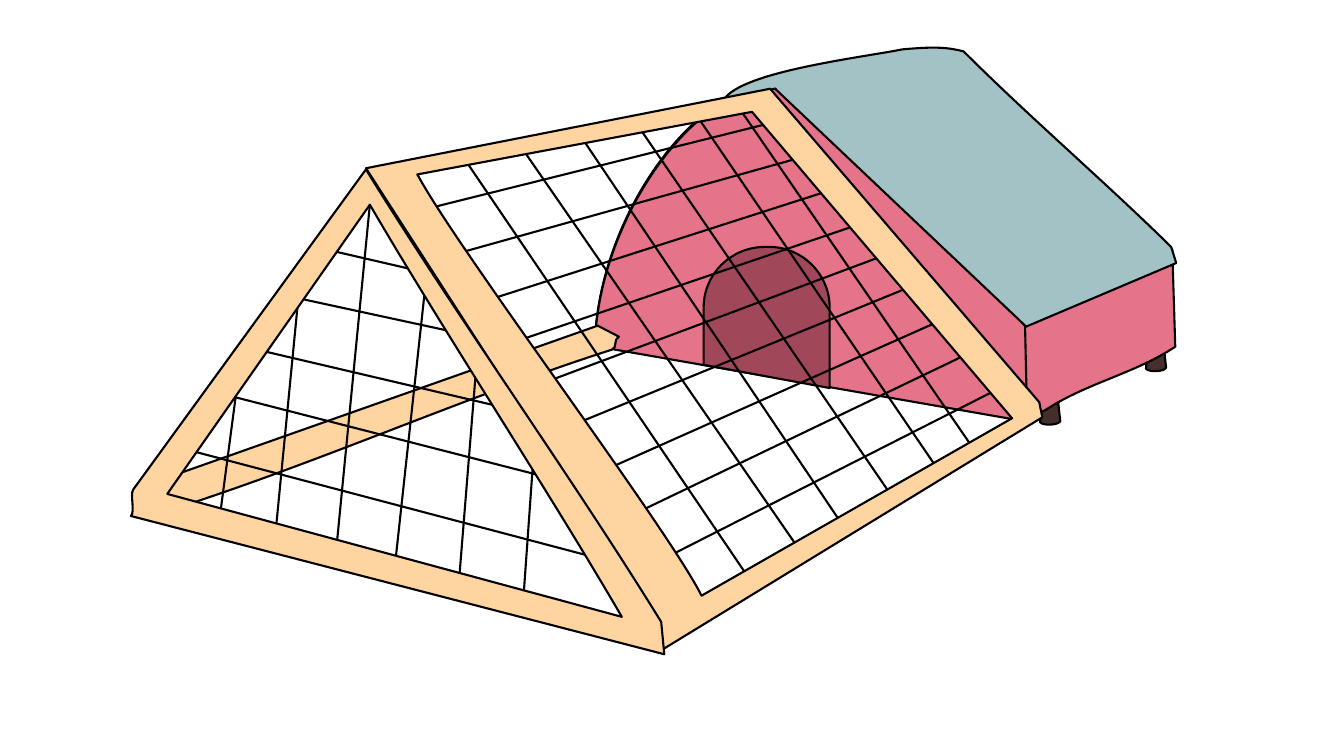
from lxml import etree
from pptx import Presentation
from pptx.dml.color import RGBColor
from pptx.enum.shapes import MSO_CONNECTOR
from pptx.oxml.ns import qn
from pptx.util import Pt

BLACK = RGBColor(0x00, 0x00, 0x00)
LEG_BROWN = RGBColor(0x46, 0x2D, 0x2E)
WALL_PINK = RGBColor(0xE5, 0x73, 0x8A)
DOOR_RED = RGBColor(0xA0, 0x47, 0x59)
ROOF_BLUE = RGBColor(0xA3, 0xC2, 0xC5)
WOOD = RGBColor(0xFE, 0xD5, 0xA1)
LINE_WIDTH = Pt(1.5)

# Contours: a pair is a straight step, six numbers are a Bézier step
# (two control points and an end point). All are points from the box corner.
LEG = [(1, 1.4), (13, 0), (14.4, 13), (12, 16, 2, 16, 0, 13.7)]
END_WALL = [(0.8, 212.2), (3.7, 117.9, 75.7, 23.6, 129.7, 27.9),
            (161.4, 53.1, 257.1, 130.9, 308.2, 197.8), (309.7, 266.2)]
SIDE_WALL = [(305.4, 178.4), (413.4, 144.6), (415.5, 213.7),
             (386, 233.1, 352.2, 239.6, 322.6, 259), (308.2, 266.2)]
DOOR = [(122.5, 142.4), (125.4, 142.4), (149.1, 142.4, 168.6, 161.8, 168.6, 185.6),
        (168.6, 240.3), (168.6, 243.2), (78.6, 226.6),
        (78.6, 208.6, 78.6, 204.3, 78.6, 185.6),
        (78.6, 161.8, 98, 142.4, 122.5, 142.4)]
ROOF = [(129.7, 29.4), (135.4, 27.9, 87.2, 38.7, 93, 37.3),
        (105.2, 17.1, 192.3, 7, 220.4, 1.3), (244.2, -0.9, 252.8, -0.2, 264.3, 2.7),
        (311.1, 49.5, 365.8, 96.3, 412.6, 142.4), (416.2, 153.9), (309, 199.3)]

FLOOR_BEAM = [(16.9, 281.2), (333, 169.6), (348.1, 177.5),
              (343.8, 179.6, 347.4, 185.4, 343, 186.8),
              (239.4, 220, 133.5, 267.5, 29.8, 300.6), (22.6, 291.2)]
SIDE_FRAME = [(456.1, 0.4), (648.3, 224.3), (650.5, 235.1), (376.2, 402.8),
              (371.8, 396.4, 381.9, 387.7, 376.9, 382), (167.4, 57.2)]
SIDE_OPENING = [(443.1, 16.9), (204.1, 61.6),
                (233.6, 116.3, 382.6, 313.6, 407.1, 362.5), (628.9, 235.8)]
FRONT_FRAME = [(167.4, 58), (233.6, 165.2, 312.1, 274, 378.3, 381.2),
               (380.5, 404.3), (-0.4, 305.6), (2.5, 302, -1.1, 291.2, 1, 286.9)]
FRONT_OPENING = [(170.2, 83.2), (25.5, 289.8), (350.2, 377.6),
                 (297, 286.2, 223.5, 174.6, 170.2, 83.2)]

# Wires: start x, start y, end x, end y
SIDE_MESH = [
    (251.6, 152.3, 500.7, 72.4), (271.8, 181.8, 523, 96.1),
    (299.8, 208.4, 540.3, 118.4), (321.4, 238, 555.4, 142.2),
    (340.2, 271.8, 577.8, 166), (380.5, 335.9, 615.9, 216.4),
    (357.4, 304.9, 594.3, 191.2), (217, 84.6, 459.7, 24.1),
    (236.5, 117, 481.3, 48.6),
    (236.5, 48.6, 443.1, 353.2), (275.4, 37.8, 479.8, 333.7),
    (319.3, 32, 510.8, 316.4), (358.9, 22.7, 543.9, 292.7),
    (399.9, 14, 578.5, 276.1), (430.9, 9.7, 602.2, 258.8),
]
FRONT_MESH = [
    (76.6, 203.4, 63, 306.4), (119.1, 150.1, 102.6, 320),
    (170.2, 83.2, 145.8, 333.7), (210.6, 134.3, 187.5, 346.7),
    (246.6, 194, 233.6, 355.3), (287.6, 255.2, 279.7, 366.8),
    (229.3, 173.9, 116.2, 149.4), (209.1, 131.4, 140.7, 115.6),
    (268.2, 228.6, 93.2, 187.6), (298.4, 278.3, 68, 219.2),
    (336.6, 336.6, 39.2, 258.1),
]


def bend(shape, steps):
    """Change the straight steps that have control points into Bézier steps."""
    lines = list(shape._element.iter(qn("a:lnTo")))
    for line, step in zip(lines, steps):
        if len(step) == 2:
            continue
        curve = etree.Element(qn("a:cubicBezTo"))
        for x, y in zip(step[::2], step[1::2]):
            etree.SubElement(curve, qn("a:pt"),
                             x=str(x - shape.left), y=str(y - shape.top))
        line.getparent().replace(line, curve)


def add_outline(parent, left, top, color, *contours):
    outlines = [[tuple(Pt((left, top)[i % 2] + value) for i, value in enumerate(step))
                 for step in contour] for contour in contours]
    builder = parent.shapes.build_freeform(*outlines[0][0], scale=1.0)
    for number, outline in enumerate(outlines):
        if number:
            builder.move_to(*outline[0])
        builder.add_line_segments([step[-2:] for step in outline[1:]], close=True)
    shape = builder.convert_to_shape()
    bend(shape, [step for outline in outlines for step in outline[1:]])
    shape.shadow.inherit = False
    shape.fill.solid()
    shape.fill.fore_color.rgb = color
    shape.line.color.rgb = BLACK
    shape.line.width = LINE_WIDTH


def add_wire(parent, left, top, wire):
    x1, y1, x2, y2 = wire
    connector = parent.shapes.add_connector(
        MSO_CONNECTOR.STRAIGHT,
        Pt(left + x1), Pt(top + y1), Pt(left + x2), Pt(top + y2))
    connector.line.color.rgb = BLACK
    connector.line.width = LINE_WIDTH
    etree.SubElement(connector._element.spPr, qn("a:effectLst"))


def add_house(slide, left, top):
    house = slide.shapes.add_group_shape()
    # Legs
    for x, y in ((319, 254), (394.6, 215.8)):
        add_outline(house, left + x, top + y, LEG_BROWN, LEG)
    # Walls: the end wall is doubled, one point lower in front
    add_outline(house, left, top, WALL_PINK, END_WALL)
    add_outline(house, left, top, WALL_PINK, SIDE_WALL)
    add_outline(house, left, top + 1, WALL_PINK, END_WALL)
    # Door and roof
    add_outline(house, left, top, DOOR_RED, DOOR)
    add_outline(house, left, top, ROOF_BLUE, ROOF)


def add_run(slide, left, top):
    add_outline(slide, left, top, WOOD, FLOOR_BEAM)
    # Wire mesh
    mesh = slide.shapes.add_group_shape()
    for wire in SIDE_MESH + FRONT_MESH:
        add_wire(mesh, left, top, wire)
    # Wooden frames with their openings
    add_outline(slide, left, top, WOOD, SIDE_FRAME, SIDE_OPENING)
    add_outline(slide, left, top, WOOD, FRONT_FRAME, FRONT_OPENING)


def main():
    presentation = Presentation()
    presentation.slide_width = Pt(960)
    presentation.slide_height = Pt(540)
    slide = presentation.slides.add_slide(presentation.slide_layouts[6])
    add_house(slide, 424, 34)
    add_run(slide, 94, 63)
    presentation.save("out.pptx")


if __name__ == "__main__":
    main()
